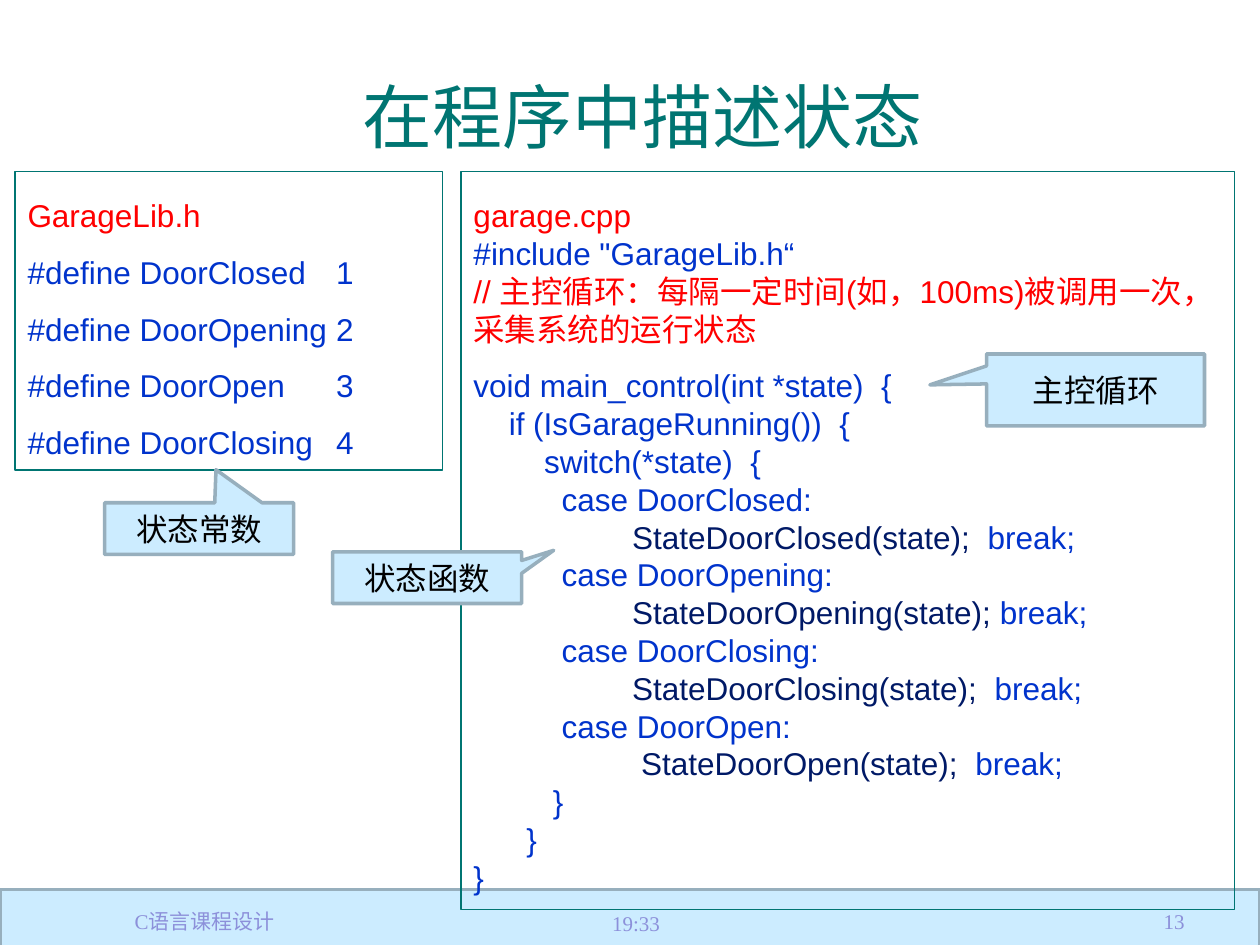
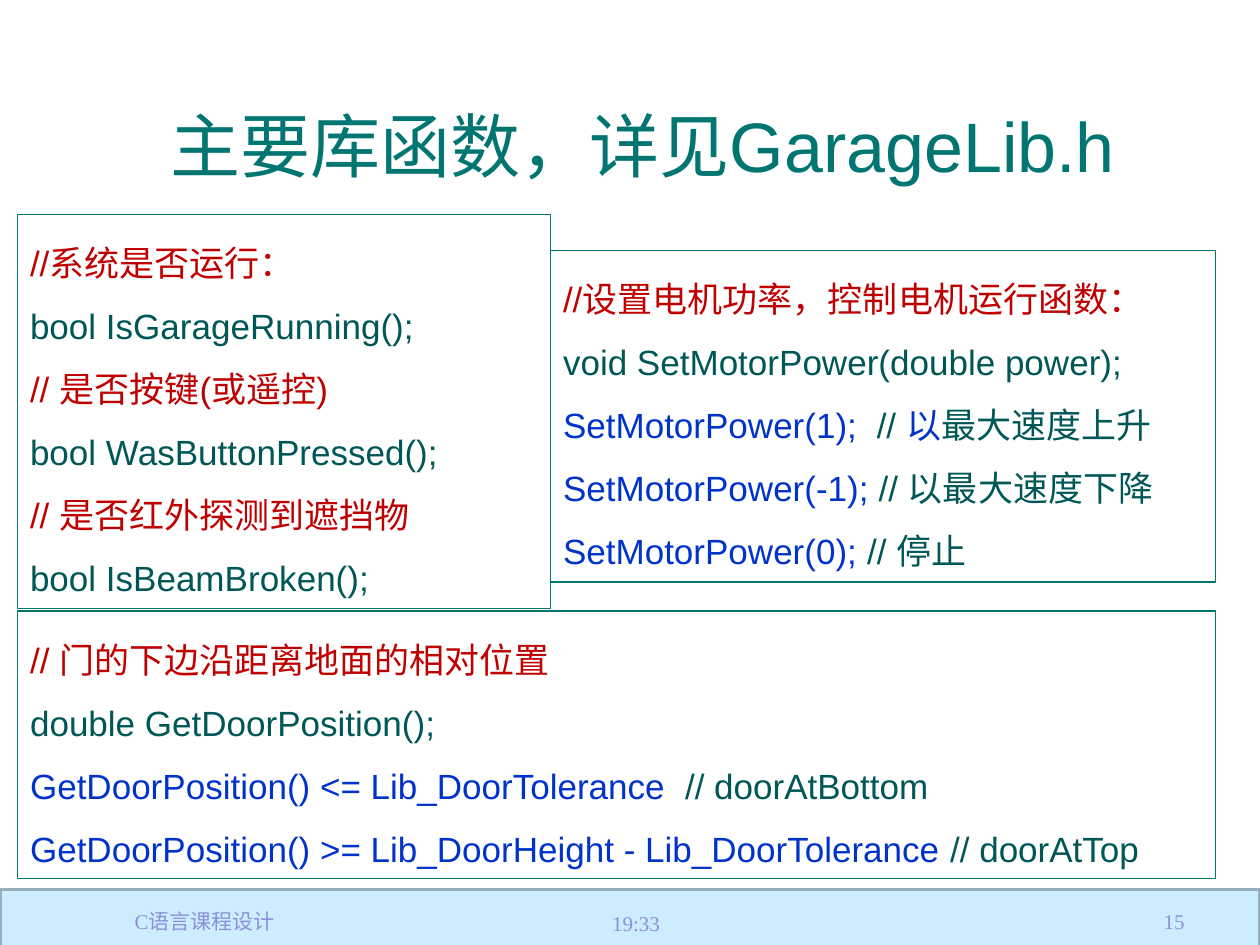
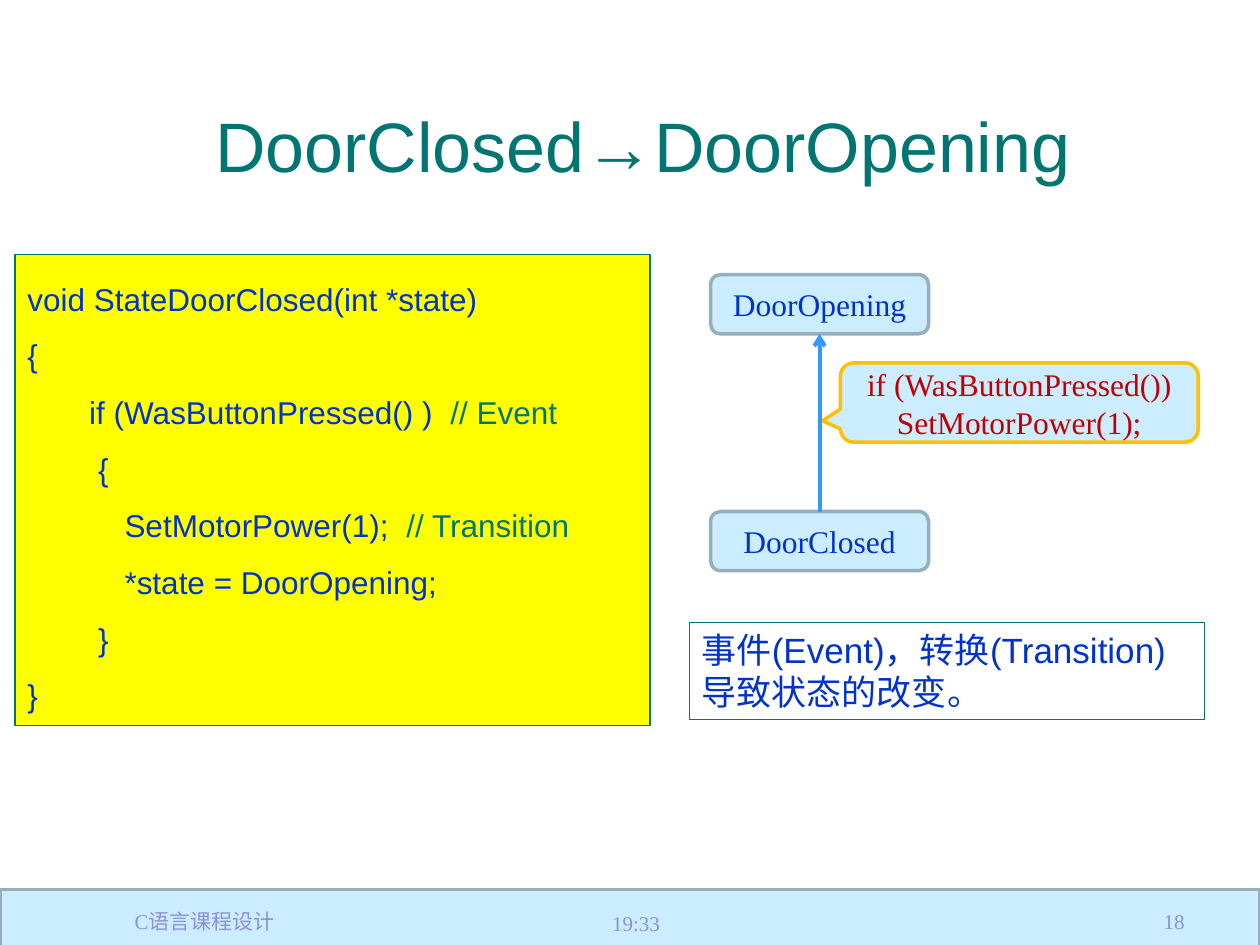
"""Build three slides on the garage door state machine."""
import pptx
import pptx.util
import pptx.dml.color
import pptx.enum.shapes
import pptx.enum.text
import pptx.oxml
import pptx.oxml.ns
from lxml import etree

Inches = pptx.util.Inches
Pt = pptx.util.Pt
SHAPE = pptx.enum.shapes.MSO_SHAPE
ALIGN = pptx.enum.text.PP_ALIGN
ANCHOR = pptx.enum.text.MSO_ANCHOR
AUTO_SIZE = pptx.enum.text.MSO_AUTO_SIZE

COLORS = {
    "teal": "007572",
    "pine": "005856",
    "blue": "0033CC",
    "navy": "001966",
    "red": "FF0000",
    "crimson": "C00000",
    "black": "000000",
    "footer": "8C90DA",
    "pale": "CCECFF",
    "steel": "97AFBD",
    "gold": "FFC000",
    "sky": "3399FF",
    "yellow": "FFFF00",
}
SPACE_WIDTH = 0.07


def rgb(color):
    """Return the palette colour as an RGB value."""
    return pptx.dml.color.RGBColor.from_string(COLORS[color])


def line(*runs, indent=0, spacing=1.5, tab=None):
    """Describe one paragraph made of (colour, text) runs."""
    return {"runs": runs, "indent": indent, "spacing": spacing, "tab": tab}


def tight(*runs, indent=0):
    """Describe one single-spaced paragraph."""
    return line(*runs, indent=indent, spacing=1.0)


def state_case(state, call_indent=18, gap="  "):
    """Describe the two lines of one case in the switch."""
    return [
        tight(("blue", f"case {state}:"), indent=10),
        tight(("navy", f"State{state}(state);{gap}"), ("blue", "break;"), indent=call_indent),
    ]


class Deck:
    """Hold the shared style and the current slide."""

    code_font = "Arial"
    label_font = "Times New Roman"

    def __init__(self):
        """Start an empty deck."""
        self.deck = pptx.Presentation()
        self.deck.slide_width = Inches(10)
        self.deck.slide_height = Inches(7.5)
        self.slide = None

    def start(self, title, number, top=0.6):
        """Add a slide with its band, title and footer."""
        self.slide = self.deck.slides.add_slide(self.deck.slide_layouts[5])
        self.shape(SHAPE.RECTANGLE, (0, 7.06, 10, 0.47))
        heading = self.slide.shapes.title
        self.place(heading, (0.39, top, 9.42, 1.09))
        self.set_text(heading, [tight(("teal", title))], 40, self.code_font, ALIGN.CENTER)
        self.footer("C语言课程设计", (0.04, 7.11, 3.17, 0.4), ALIGN.CENTER)
        self.footer("19:33", (4.76, 7.13, 2.33, 0.4), ALIGN.LEFT)
        self.footer(str(number), (7.17, 7.11, 2.33, 0.4), ALIGN.RIGHT)

    def place(self, item, at):
        """Move and size an item."""
        item.left, item.top, item.width, item.height = map(Inches, at)

    def set_text(self, item, lines, size, font, align, anchor=ANCHOR.MIDDLE, fit=AUTO_SIZE.NONE):
        """Fill an item with paragraphs, run by run."""
        frame = item.text_frame
        frame.word_wrap = True
        frame.auto_size = fit
        frame.vertical_anchor = anchor
        for index, entry in enumerate(lines):
            paragraph = frame.add_paragraph() if index else frame.paragraphs[0]
            paragraph.alignment = align
            paragraph.line_spacing = entry["spacing"]
            properties = paragraph._p.get_or_add_pPr()
            if entry["indent"]:
                properties.set("marL", str(Inches(entry["indent"] * SPACE_WIDTH)))
            if entry["tab"]:
                stops = etree.SubElement(properties, pptx.oxml.ns.qn("a:tabLst"))
                stop = etree.SubElement(stops, pptx.oxml.ns.qn("a:tab"))
                stop.set("pos", str(Inches(entry["tab"])))
                stop.set("algn", "l")
            for color, text in entry["runs"]:
                run = paragraph.add_run()
                run.text = text
                run.font.size = Pt(size)
                run.font.name = font
                run.font.color.rgb = rgb(color)

    def footer(self, text, at, align):
        """Add one footer entry."""
        entry = self.slide.shapes.add_textbox(*map(Inches, at))
        self.set_text(entry, [tight(("footer", text))], 12, self.label_font, align)

    def shape(self, kind, at, fill="pale", outline="steel", weight=2, adjust=()):
        """Add a preset shape with fill and outline."""
        item = self.slide.shapes.add_shape(kind, *map(Inches, at))
        item.shadow.inherit = False
        if fill:
            item.fill.solid()
            item.fill.fore_color.rgb = rgb(fill)
        else:
            item.fill.background()
        item.line.color.rgb = rgb(outline)
        item.line.width = Pt(weight)
        for index, value in enumerate(adjust):
            item.adjustments[index] = value
        return item

    def code(self, at, lines, size=18, fill=None):
        """Add a framed block of text."""
        block = self.shape(SHAPE.RECTANGLE, at, fill, "teal", 0.75)
        self.set_text(block, lines, size, self.code_font, ALIGN.LEFT,
                      ANCHOR.TOP, AUTO_SIZE.SHAPE_TO_FIT_TEXT)

    def label(self, kind, at, texts, color="black", outline="steel", adjust=()):
        """Add a centred label in a state box or callout."""
        item = self.shape(kind, at, outline=outline, adjust=adjust)
        lines = [tight((color, text)) for text in texts]
        self.set_text(item, lines, 18, self.label_font, ALIGN.CENTER)
        return item

    def arrow(self, source, target):
        """Connect the top of one state to the bottom of another."""
        link = self.slide.shapes.add_connector(
            pptx.enum.shapes.MSO_CONNECTOR.STRAIGHT, 0, 0, 0, 0)
        link.begin_connect(source, 0)
        link.end_connect(target, 2)
        link.line.color.rgb = rgb("sky")
        link.line.width = Pt(2.25)
        head = etree.SubElement(link.line._get_or_add_ln(), pptx.oxml.ns.qn("a:tailEnd"))
        head.set("type", "arrow")
        etree.SubElement(link._element.spPr, pptx.oxml.ns.qn("a:effectLst"))


def describe_states(deck):
    """Build the slide on state constants and the control loop."""
    deck.start("在程序中描述状态", 13, top=0.37)
    states = ["DoorClosed", "DoorOpening", "DoorOpen", "DoorClosing"]
    constants = [line(("blue", f"#define {state}\t{value}"), tab=2.45)
                 for value, state in enumerate(states, 1)]
    deck.code((0.12, 1.36, 3.39, 2.37), [line(("red", "GarageLib.h")), *constants])
    deck.code((3.66, 1.36, 6.14, 5.86), [
        line(("red", "garage.cpp")),
        tight(("blue", '#include "GarageLib.h“')),
        tight(("red", "// 主控循环：每隔一定时间(如，100ms)被调用一次，采集系统的运行状态")),
        line(("blue", "void main_control(int *state)  {")),
        tight(("blue", "if (IsGarageRunning())  {"), indent=4),
        tight(("blue", "switch(*state)  {"), indent=8),
        *state_case("DoorClosed"),
        *state_case("DoorOpening", gap=" "),
        *state_case("DoorClosing"),
        *state_case("DoorOpen", call_indent=19),
        tight(("blue", "}"), indent=9),
        tight(("blue", "}"), indent=6),
        tight(("blue", "}")),
    ])
    callouts = [
        ("状态常数", (0.83, 3.99, 1.5, 0.41), (0.09, -1.14)),
        ("状态函数", (2.64, 4.38, 1.5, 0.41), (0.67, -0.53)),
        ("主控循环", (7.83, 2.81, 1.73, 0.57), (-0.76, -0.07)),
    ]
    for text, at, tip in callouts:
        deck.label(SHAPE.RECTANGULAR_CALLOUT, at, [text], adjust=tip)


def list_functions(deck):
    """Build the slide on the library functions."""
    deck.start("主要库函数，详见GarageLib.h", 15)
    deck.code((4.37, 1.99, 5.28, 2.63), [
        line(("crimson", "//设置电机功率，控制电机运行函数：")),
        line(("pine", "void SetMotorPower(double power);")),
        line(("blue", "SetMotorPower(1); "), ("pine", " // "),
             ("blue", "以"), ("pine", "最大速度上升")),
        line(("blue", "SetMotorPower(-1); "), ("pine", "// 以最大速度下降")),
        line(("blue", "SetMotorPower(0); "), ("pine", "// 停止")),
    ], size=20)
    deck.code((0.14, 1.7, 4.23, 3.13), [
        line(("crimson", "//系统是否运行：")),
        line(("pine", "bool IsGarageRunning();")),
        line(("crimson", "// 是否按键(或遥控)")),
        line(("pine", "bool WasButtonPressed();")),
        line(("crimson", "// 是否红外探测到遮挡物")),
        line(("pine", "bool IsBeamBroken();")),
    ], size=20)
    deck.code((0.14, 4.85, 9.51, 2.12), [
        line(("crimson", "// 门的下边沿距离地面的相对位置")),
        line(("pine", "double GetDoorPosition();")),
        line(("blue", "GetDoorPosition() <= Lib_DoorTolerance  "), ("pine", "// doorAtBottom")),
        line(("blue", "GetDoorPosition() >= Lib_DoorHeight - Lib_DoorTolerance "),
             ("pine", "// doorAtTop")),
    ], size=20)


def show_transition(deck):
    """Build the slide on the closed to opening transition."""
    deck.start("DoorClosed→DoorOpening", 18)
    deck.code((0.12, 2.02, 5.04, 3.74), [
        line(("blue", "void StateDoorClosed(int *state)")),
        line(("blue", "{")),
        line(("blue", "if (WasButtonPressed() )  "), ("teal", "// Event"), indent=7),
        line(("blue", "{"), indent=8),
        line(("blue", "SetMotorPower(1);  "), ("teal", "// Transition"), indent=11),
        line(("blue", "*state = DoorOpening;"), indent=11),
        line(("blue", "}"), indent=8),
        line(("blue", "}")),
    ], fill="yellow")
    deck.code((5.47, 4.94, 4.09, 0.77), [
        tight(("blue", "事件(Event)，转换(Transition)")),
        tight(("blue", "导致状态的改变。")),
    ], size=20)
    opening, closed = [
        deck.label(SHAPE.ROUNDED_RECTANGLE, (5.64, top, 1.73, 0.47), [state], "blue")
        for state, top in (("DoorOpening", 2.18), ("DoorClosed", 4.06))
    ]
    deck.label(SHAPE.ROUNDED_RECTANGULAR_CALLOUT, (6.67, 2.88, 2.84, 0.63),
               ["if (WasButtonPressed())", "SetMotorPower(1);"],
               "crimson", "gold", (-0.55, 0.23, 0.17))
    deck.arrow(closed, opening)


def main():
    """Build and save the deck."""
    deck = Deck()
    describe_states(deck)
    list_functions(deck)
    show_transition(deck)
    deck.deck.save("out.pptx")


if __name__ == "__main__":
    main()
